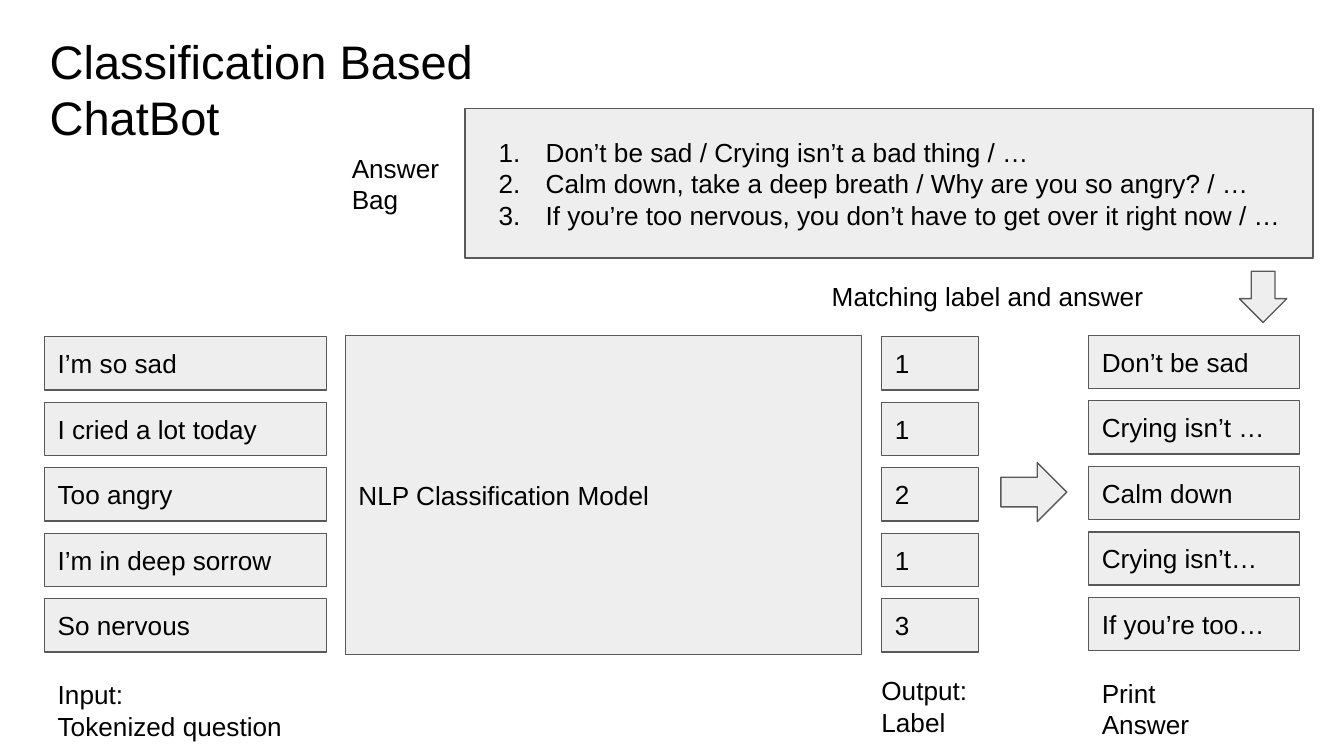
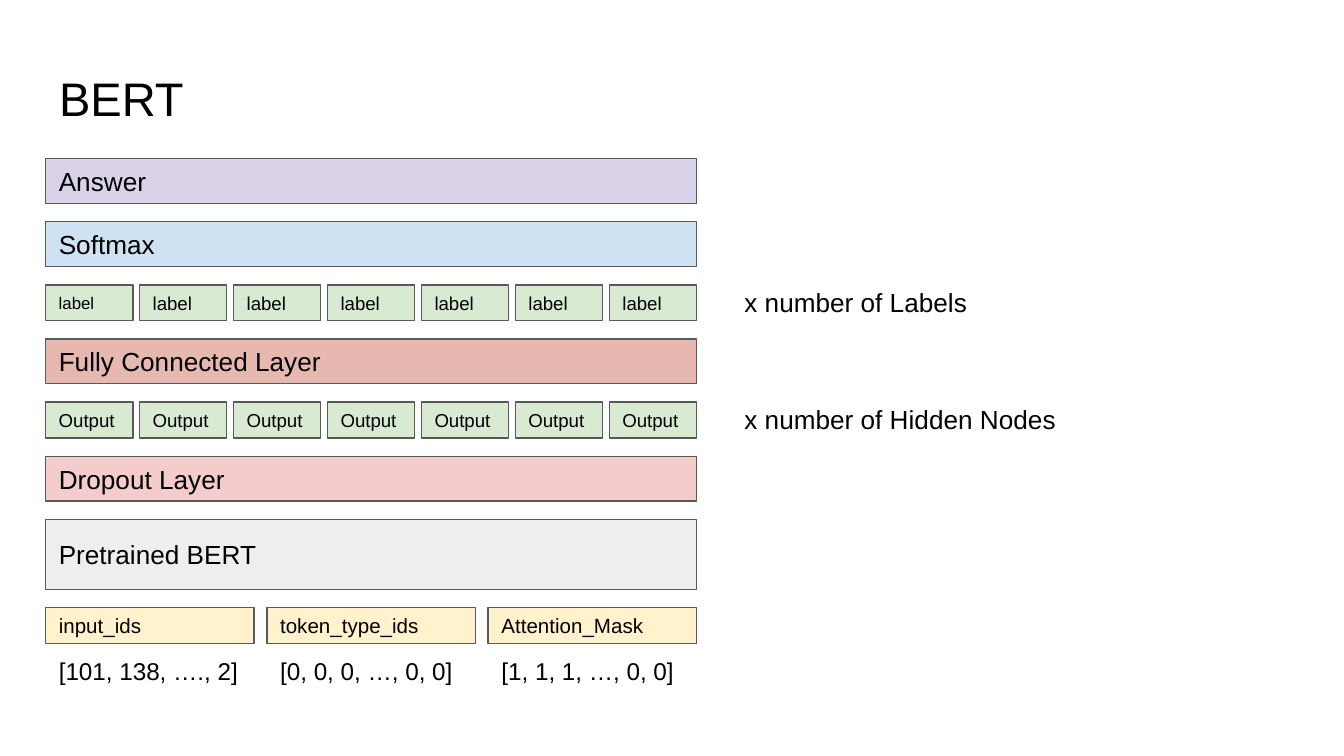
from dataclasses import dataclass
from typing import NamedTuple

from pptx import Presentation
from pptx.dml.color import RGBColor
from pptx.enum.shapes import MSO_SHAPE
from pptx.enum.text import MSO_ANCHOR, MSO_AUTO_SIZE, PP_ALIGN
from pptx.oxml.xmlchemy import OxmlElement
from pptx.util import Pt

RECTANGLE = MSO_SHAPE.RECTANGLE
RIGHT_ARROW = MSO_SHAPE.RIGHT_ARROW
DOWN_ARROW = MSO_SHAPE.DOWN_ARROW
TOP, MIDDLE = MSO_ANCHOR.TOP, MSO_ANCHOR.MIDDLE
FIXED_SIZE, GROW = MSO_AUTO_SIZE.NONE, MSO_AUTO_SIZE.SHAPE_TO_FIT_TEXT
LEFT = PP_ALIGN.LEFT
TITLE_AND_CONTENT, TITLE_ONLY = 1, 5


@dataclass(frozen=True)
class Theme:
    font: str = "Arial"
    text: str = "000000"
    line: str = "595959"
    gray: str = "EEEEEE"
    purple: str = "D9D2E9"
    blue: str = "CFE2F3"
    green: str = "D9EAD3"
    brick: str = "E6B8AF"
    pink: str = "F4CCCC"
    cream: str = "FFF2CC"
    title_size: float = 25.2
    body_size: float = 14
    vector_size: float = 13
    column_size: float = 11
    cell_size: float = 10
    small_size: float = 9
    line_width: float = 0.75
    inset: float = 7.2


THEME = Theme()


class Box(NamedTuple):
    """Left, top, width and height in points."""
    left: float
    top: float
    width: float
    height: float


class Stack(NamedTuple):
    """A column of equal boxes on the first slide."""
    first: Box
    texts: tuple[str, ...]


class Caption(NamedTuple):
    box: Box
    text: str


class Layer(NamedTuple):
    """One row of the network: its cells share the full width."""
    texts: tuple[str, ...]
    height: float
    fill: str
    size: float = THEME.body_size
    gap: float = 0
    note: str = ""


# Shared drawing functions
def set_values(target, values: dict) -> None:
    for name, value in values.items():
        setattr(target, name, value)


def place(shape, box: Box) -> None:
    set_values(shape, {name: Pt(value) for name, value in box._asdict().items()})


def write(shape, text: str, size: float, anchor, auto_size=FIXED_SIZE) -> None:
    frame = shape.text_frame
    frame.text = text
    margins = ("margin_left", "margin_top", "margin_right", "margin_bottom")
    set_values(frame, dict.fromkeys(margins, Pt(THEME.inset)))
    set_values(frame, {"word_wrap": True, "auto_size": auto_size,
                       "vertical_anchor": anchor})
    for paragraph in frame.paragraphs:
        set_values(paragraph, {"alignment": LEFT, "space_before": Pt(0)})
        for run in paragraph.runs:
            set_values(run.font, {"name": THEME.font, "size": Pt(size)})
            run.font.color.rgb = RGBColor.from_string(THEME.text)


def paint(shape, fill: str) -> None:
    shape.shadow.inherit = False
    shape.fill.solid()
    shape.fill.fore_color.rgb = RGBColor.from_string(fill)
    shape.line.color.rgb = RGBColor.from_string(THEME.line)
    shape.line.width = Pt(THEME.line_width)


def add_figure(slide, kind, box: Box, fill: str = THEME.gray):
    shape = slide.shapes.add_shape(kind, *map(Pt, box))
    paint(shape, fill)
    return shape


def add_block(slide, box: Box, text: str, fill: str = THEME.gray,
              size: float = THEME.body_size) -> None:
    write(add_figure(slide, RECTANGLE, box, fill), text, size, MIDDLE)


def add_caption(slide, caption: Caption, size: float = THEME.body_size) -> None:
    shape = slide.shapes.add_textbox(*map(Pt, caption.box))
    write(shape, caption.text, size, TOP, GROW)


def add_titled_slide(presentation, layout: int, title: str, box: Box):
    slide = presentation.slides.add_slide(presentation.slide_layouts[layout])
    place(slide.shapes.title, box)
    write(slide.shapes.title, title, THEME.title_size, TOP)
    return slide


def number_paragraphs(shape) -> None:
    for paragraph in shape.text_frame.paragraphs:
        properties = paragraph._p.get_or_add_pPr()
        properties.set("marL", str(Pt(36)))
        properties.set("indent", str(Pt(-25.2)))
        font = OxmlElement("a:buFont")
        font.set("typeface", THEME.font)
        number = OxmlElement("a:buAutoNum")
        number.set("type", "arabicPeriod")
        properties.extend((font, number))


# Slide 1: classification based chatbot
STACK_PITCH = 35.1
STACKS = (
    Stack(Box(23.8, 180.4, 151.2, 28.6),
          ("I’m so sad", "I cried a lot today", "Too angry",
           "I’m in deep sorrow", "So nervous")),
    Stack(Box(472.3, 180.4, 51.8, 28.6), ("1", "1", "2", "1", "3")),
    Stack(Box(583.2, 179.6, 113, 28.6),
          ("Don’t be sad", "Crying isn’t …", "Calm down",
           "Crying isn’t…", "If you’re too…")),
)
CAPTIONS = (
    Caption(Box(23.8, 356.4, 143.3, 48.2), "Input:\nTokenized question"),
    Caption(Box(465.1, 354.2, 74.2, 48.2), "Output:\nLabel"),
    Caption(Box(583.2, 355.6, 86.4, 48.2), "Print\nAnswer"),
    Caption(Box(181.4, 74.2, 67.7, 48.2), "Answer\nBag"),
    Caption(Box(438.5, 143.3, 190.8, 31.7), "Matching label and answer"),
)
ANSWER_BAG = (
    "Don’t be sad / Crying isn’t a bad thing / …",
    "Calm down, take a deep breath / Why are you so angry? / …",
    "If you’re too nervous, you don’t have to get over it right now / …",
)


def build_chatbot_slide(presentation) -> None:
    slide = add_titled_slide(presentation, TITLE_AND_CONTENT,
                             "Classification Based\nChatBot",
                             Box(19.4, 10.1, 471.6, 45.4))
    # Answer bag
    answer_bag = slide.placeholders[1]
    place(answer_bag, Box(249.1, 58.2, 454.3, 80))
    paint(answer_bag, THEME.gray)
    write(answer_bag, "\n".join(ANSWER_BAG), THEME.body_size, MIDDLE)
    number_paragraphs(answer_bag)

    # Model with its inputs, labels and answers
    add_block(slide, Box(185, 179.6, 276.6, 171), "NLP Classification Model")
    for stack in STACKS:
        for row, text in enumerate(stack.texts):
            top = stack.first.top + row * STACK_PITCH
            add_block(slide, stack.first._replace(top=top), text)

    for caption in CAPTIONS:
        add_caption(slide, caption)
    add_figure(slide, RIGHT_ARROW, Box(536.2, 247.8, 35.3, 31.7))
    add_figure(slide, DOWN_ARROW, Box(664, 145.3, 25.4, 27.4))


# Slide 2: network layers from top to bottom
NETWORK_LEFT, NETWORK_TOP, NETWORK_WIDTH = 24.4, 85, 348.8
LAYER_GAP, CELL_GAP, COLUMN_GAP = 9.8, 3.5, 6.9
BAR_HEIGHT, CELL_HEIGHT = 24, 19.2
CELL_COUNT = 7
NOTE_LEFT, NOTE_WIDTH, NOTE_HEIGHT = 391.7, 187.9, 31.7
VECTOR_TOP, VECTOR_HEIGHT = 344.2, 30.2
LAYERS = (
    Layer(("Answer",), BAR_HEIGHT, THEME.purple),
    Layer(("Softmax",), BAR_HEIGHT, THEME.blue),
    Layer(("label",) * CELL_COUNT, CELL_HEIGHT, THEME.green, THEME.cell_size,
          CELL_GAP, "x number of Labels"),
    Layer(("Fully Connected Layer",), BAR_HEIGHT, THEME.brick),
    Layer(("Output",) * CELL_COUNT, CELL_HEIGHT, THEME.green, THEME.cell_size,
          CELL_GAP, "x number of Hidden Nodes"),
    Layer(("Dropout Layer",), BAR_HEIGHT, THEME.pink),
    Layer(("Pretrained BERT",), 37.6, THEME.gray),
    Layer(("input_ids", "token_type_ids", "Attention_Mask"), CELL_HEIGHT,
          THEME.cream, THEME.column_size, COLUMN_GAP),
)
VECTORS = ("[101, 138, …., 2]", "[0, 0, 0, …, 0, 0]", "[1, 1, 1, …, 0, 0]")


def split_row(count: int, gap: float, top: float, height: float) -> list[Box]:
    width = (NETWORK_WIDTH - gap * (count - 1)) / count
    return [Box(NETWORK_LEFT + index * (width + gap), top, width, height)
            for index in range(count)]


def build_bert_slide(presentation) -> None:
    slide = add_titled_slide(presentation, TITLE_ONLY, "BERT",
                             Box(24.5, 30.2, 671, 45.4))
    # Layers with their side notes
    top = NETWORK_TOP
    for layer in LAYERS:
        boxes = split_row(len(layer.texts), layer.gap, top, layer.height)
        for index, (box, text) in enumerate(zip(boxes, layer.texts)):
            first_label = text == "label" and index == 0
            size = THEME.small_size if first_label else layer.size
            add_block(slide, box, text, layer.fill, size)
        if layer.note:
            note_top = top + (layer.height - NOTE_HEIGHT) / 2
            note_box = Box(NOTE_LEFT, note_top, NOTE_WIDTH, NOTE_HEIGHT)
            add_caption(slide, Caption(note_box, layer.note))
        top += layer.height + LAYER_GAP

    # Example vectors under the input columns
    boxes = split_row(len(VECTORS), COLUMN_GAP, VECTOR_TOP, VECTOR_HEIGHT)
    for caption in map(Caption, boxes, VECTORS):
        add_caption(slide, caption, THEME.vector_size)


def main() -> None:
    presentation = Presentation()
    set_values(presentation, {"slide_width": Pt(720), "slide_height": Pt(405)})
    build_chatbot_slide(presentation)
    build_bert_slide(presentation)
    presentation.save("out.pptx")


if __name__ == "__main__":
    main()
